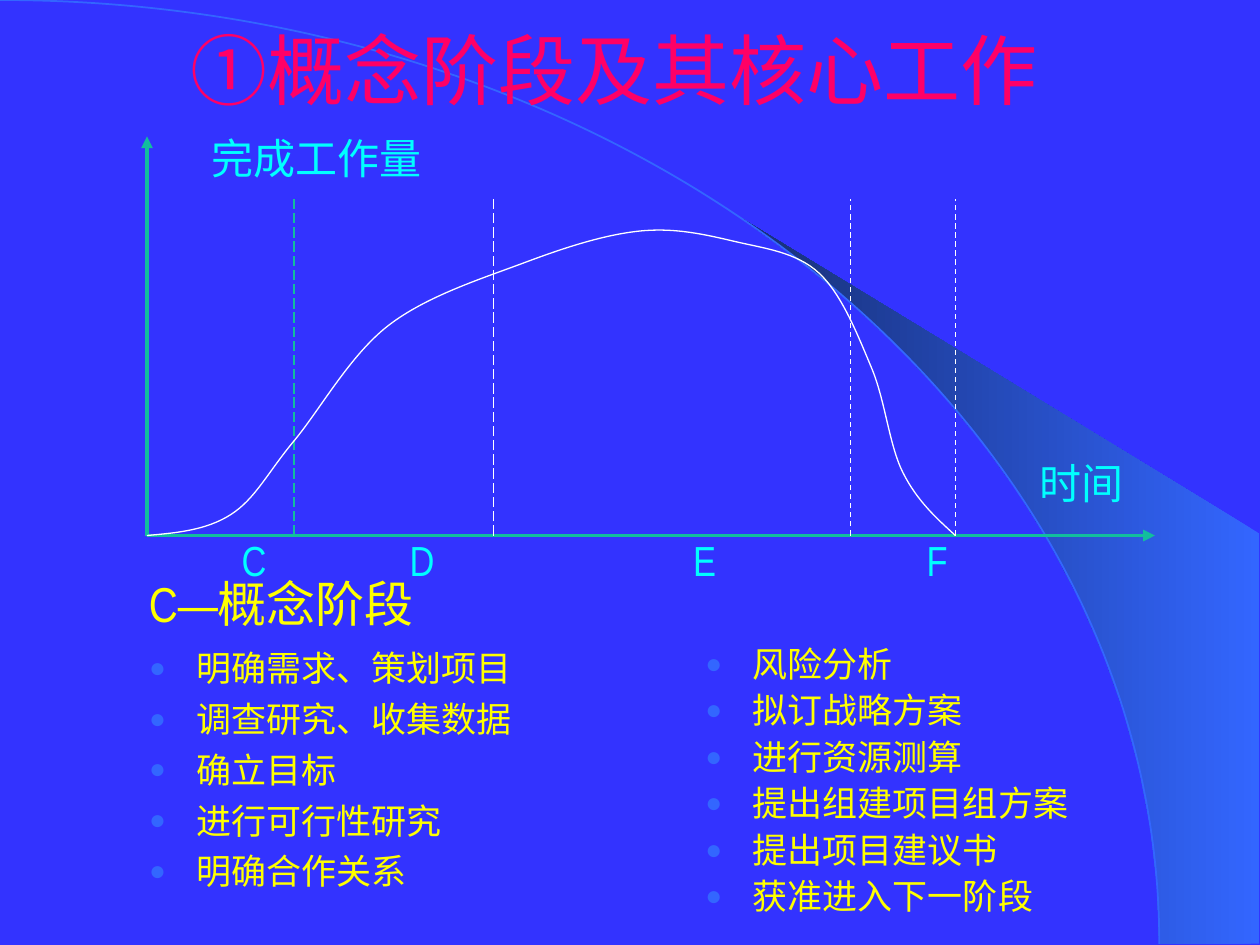
from math import cos, pi, sin

from lxml.etree import SubElement
from pptx import Presentation
from pptx.dml.color import RGBColor
from pptx.enum.dml import MSO_LINE
from pptx.enum.shapes import MSO_CONNECTOR
from pptx.enum.text import MSO_ANCHOR, MSO_AUTO_SIZE, PP_ALIGN
from pptx.oxml.ns import qn
from pptx.util import Pt

BLUE = RGBColor(0x33, 0x33, 0xFF)
SKY = RGBColor(0x33, 0x66, 0xFF)
NAVY = RGBColor(0x17, 0x2F, 0x75)
PINK = RGBColor(0xFF, 0x00, 0x66)
YELLOW = RGBColor(0xFF, 0xFF, 0x00)
CYAN = RGBColor(0x00, 0xFF, 0xFF)
GREEN = RGBColor(0x12, 0xBE, 0x9D)
WHITE = RGBColor(0xFF, 0xFF, 0xFF)

LEFT_ITEMS = ["明确需求、策划项目", "调查研究、收集数据", "确立目标",
              "进行可行性研究", "明确合作关系"]
RIGHT_ITEMS = ["风险分析", "拟订战略方案", "进行资源测算",
               "提出组建项目组方案", "提出项目建议书", "获准进入下一阶段"]

# Horizontal and upward distance from the origin of the axes
WORKLOAD = [(0, 0), (48, 12), (84, 54), (138, 120), (216, 156), (282, 174),
            (336, 168), (384, 150), (414, 96), (432, 36), (462, 0)]
DIVIDERS = [(84, GREEN, MSO_LINE.LONG_DASH), (198, WHITE, MSO_LINE.LONG_DASH),
            (402, WHITE, MSO_LINE.DASH), (462, WHITE, MSO_LINE.DASH)]


def place(shape, left, top, width, height):
    shape.left, shape.top = Pt(left), Pt(top)
    shape.width, shape.height = Pt(width), Pt(height)


def add_bullet(para):
    props = para._p.get_or_add_pPr()
    props.set("marL", str(Pt(27)))
    props.set("indent", str(Pt(-27)))
    color = SubElement(props, qn("a:buClr"))
    SubElement(color, qn("a:srgbClr"), val=str(SKY))
    SubElement(props, qn("a:buSzPct"), val="80000")
    SubElement(props, qn("a:buFont"), typeface="Arial")
    SubElement(props, qn("a:buChar"), char="●")


def add_tabs(para, stops):
    tabs = SubElement(para._p.get_or_add_pPr(), qn("a:tabLst"))
    for stop in stops:
        SubElement(tabs, qn("a:tab"), pos=str(Pt(stop)), algn="l")


def write(shape, lines, size, color, font="Arial Narrow", align=PP_ALIGN.LEFT,
          anchor=MSO_ANCHOR.TOP, bullets=False, gap=0, spacing=None, tabs=()):
    frame = shape.text_frame
    frame.word_wrap = True
    frame.auto_size = MSO_AUTO_SIZE.NONE
    frame.vertical_anchor = anchor
    for index, line in enumerate(lines):
        para = frame.add_paragraph() if index else frame.paragraphs[0]
        if bullets:
            add_bullet(para)
        if tabs:
            add_tabs(para, tabs)
        para.alignment = align
        para.space_before = Pt(gap if index else 0)
        para.line_spacing = spacing
        span = para.add_run()
        span.text = line
        span.font.size = Pt(size)
        span.font.name = font
        span.font.color.rgb = color


def add_label(page, box, text, size=24, color=CYAN, tabs=()):
    label = page.shapes.add_textbox(*map(Pt, box))
    write(label, [text], size, color, tabs=tabs)


def add_polygon(page, points):
    start, *rest = [(Pt(x), Pt(y)) for x, y in points]
    builder = page.shapes.build_freeform(*start)
    builder.add_line_segments(rest, close=True)
    shape = builder.convert_to_shape()
    shape.shadow.inherit = False
    return shape


def add_curve(page, box, start, pieces, color, width):
    """Draw Bezier pieces (two handles and an end) measured from the box corner."""
    left, top, across, down = box
    corners = [(left, top), (left + across, top), (left + across, top + down)]
    curve = add_polygon(page, corners)
    curve.fill.background()
    curve.line.color.rgb = color
    curve.line.width = Pt(width)
    route = next(curve._element.iter(qn("a:path")))
    for step in list(route):
        route.remove(step)
    for tag, points in [("a:moveTo", [start])] + [("a:cubicBezTo", p) for p in pieces]:
        step = SubElement(route, qn(tag))
        for x, y in points:
            SubElement(step, qn("a:pt"), x=str(Pt(x)), y=str(Pt(y)))
    return curve


def add_line(page, start, end, color, width, dash=None, arrow=False):
    line = page.shapes.add_connector(
        MSO_CONNECTOR.STRAIGHT, *map(Pt, (*start, *end)))
    line.line.color.rgb = color
    line.line.width = Pt(width)
    if dash:
        line.line.dash_style = dash
    if arrow:
        SubElement(line.line._get_or_add_ln(), qn("a:tailEnd"), type="triangle")
    SubElement(line._element.spPr, qn("a:effectLst"))


def smooth_pieces(knots):
    """Return Bezier pieces whose tangents follow the neighbouring knots."""
    last = len(knots) - 1
    leave, arrive = {}, {}
    for i in range(1, last):
        tangent = [(b - a) / 6 for a, b in zip(knots[i - 1], knots[i + 1])]
        leave[i] = tuple(p + t for p, t in zip(knots[i], tangent))
        arrive[i] = tuple(p - t for p, t in zip(knots[i], tangent))
    leave[0] = tuple((p + q) / 2 for p, q in zip(knots[0], arrive[1]))
    arrive[last] = tuple((p + q) / 2 for p, q in zip(knots[last], leave[last - 1]))
    return [(leave[i], arrive[i + 1], knots[i + 1]) for i in range(last)]


def add_backdrop(page, left, top, width, height):
    """Draw a quarter ellipse and the shaded wedge beside it, behind all else."""
    radius = 0.921 * width
    first, steps = 0.695, 14
    angles = [first + (pi / 2 - first) * i / steps for i in range(steps + 1)]
    arc = [(left + radius * sin(a), top + height * (1 - cos(a))) for a in angles]
    right = left + width
    wedge = add_polygon(page, arc + [(right, top + height),
                                     (right, top + 0.565 * height)])
    wedge.fill.gradient()
    wedge.fill.gradient_angle = 180
    for stop, color, position in zip(wedge.fill.gradient_stops, (SKY, NAVY), (0, 1)):
        stop.color.rgb = color
        stop.position = position
    wedge.line.fill.background()
    handle = 0.552
    quarter = ((radius * (1 + handle), 0),
               (2 * radius, height * (1 - handle)), (2 * radius, height))
    edge = add_curve(page, (left - radius, top, 2 * radius, 2 * height),
                     (radius, 0), [quarter], SKY, 1)
    for shape in (edge, wedge):
        page.shapes._spTree.insert(2, shape._element)


def add_workload_chart(page, left, top, width, height):
    base = top + height
    origin = (left, base)
    add_line(page, origin, (left, top), GREEN, 2.25, arrow=True)
    add_label(page, (left + 47, base - 4, 529, 36), "C\tD\tE\tF", tabs=(96, 258, 391.5))
    add_line(page, origin, (left + width, base), GREEN, 2.25, arrow=True)
    for x, color, dash in DIVIDERS:
        add_line(page, (left + x, base), (left + x, base - 192), color, 0.75, dash)
    add_label(page, (left + width - 73, base - 48, 73.5, 36), "时间")
    peak = 175.5
    knots = [(x, peak - y) for x, y in WORKLOAD]
    add_curve(page, (left, base - peak, 462, peak), knots[0],
              smooth_pieces(knots), WHITE, 0.75)


def fill_list(body, box, items, spacing=None):
    place(body, *box)
    write(body, items, 20, YELLOW, "Times New Roman", bullets=True, gap=5,
          spacing=spacing)


def main():
    deck = Presentation()
    deck.slide_width, deck.slide_height = Pt(720), Pt(540)
    page = deck.slides.add_slide(deck.slide_layouts[3])
    page.background.fill.solid()
    page.background.fill.fore_color.rgb = BLUE
    title, left_body, right_body = page.placeholders
    add_backdrop(page, 0, 0, 719.3, 539.3)
    place(title, 6, 0, 690, 78)
    write(title, ["①概念阶段及其核心工作"], 44, PINK, "Arial",
          align=PP_ALIGN.CENTER, anchor=MSO_ANCHOR.MIDDLE)
    fill_list(left_body, (78, 366, 300, 150), LEFT_ITEMS)
    fill_list(right_body, (395.9, 366, 300, 174), RIGHT_ITEMS, spacing=0.9)
    add_label(page, (114, 72, 145.5, 36), "完成工作量")
    add_label(page, (78, 324, 211, 41), "C—概念阶段", size=28, color=YELLOW)
    add_workload_chart(page, 84, 78, 576, 228)
    deck.save("out.pptx")


if __name__ == "__main__":
    main()
